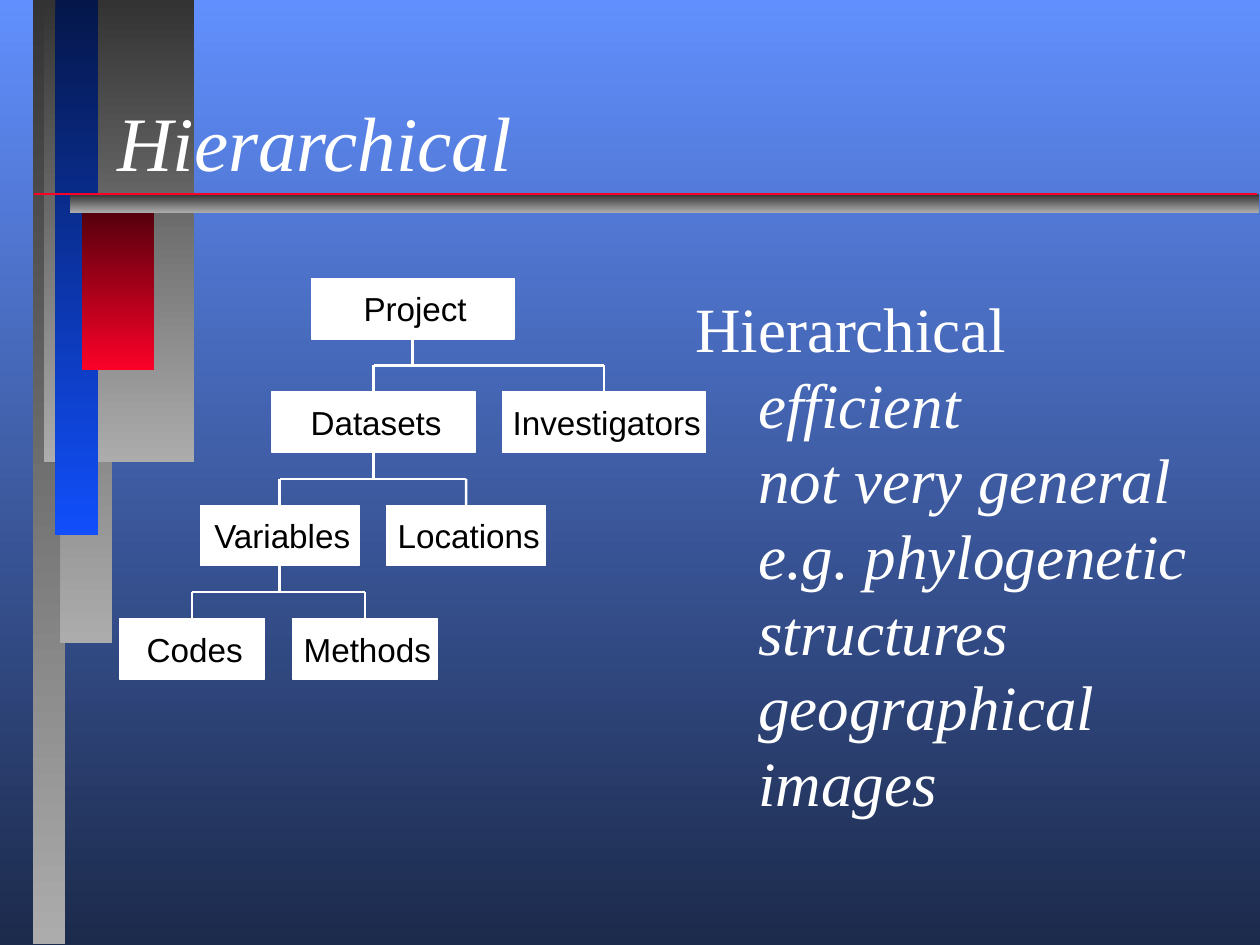
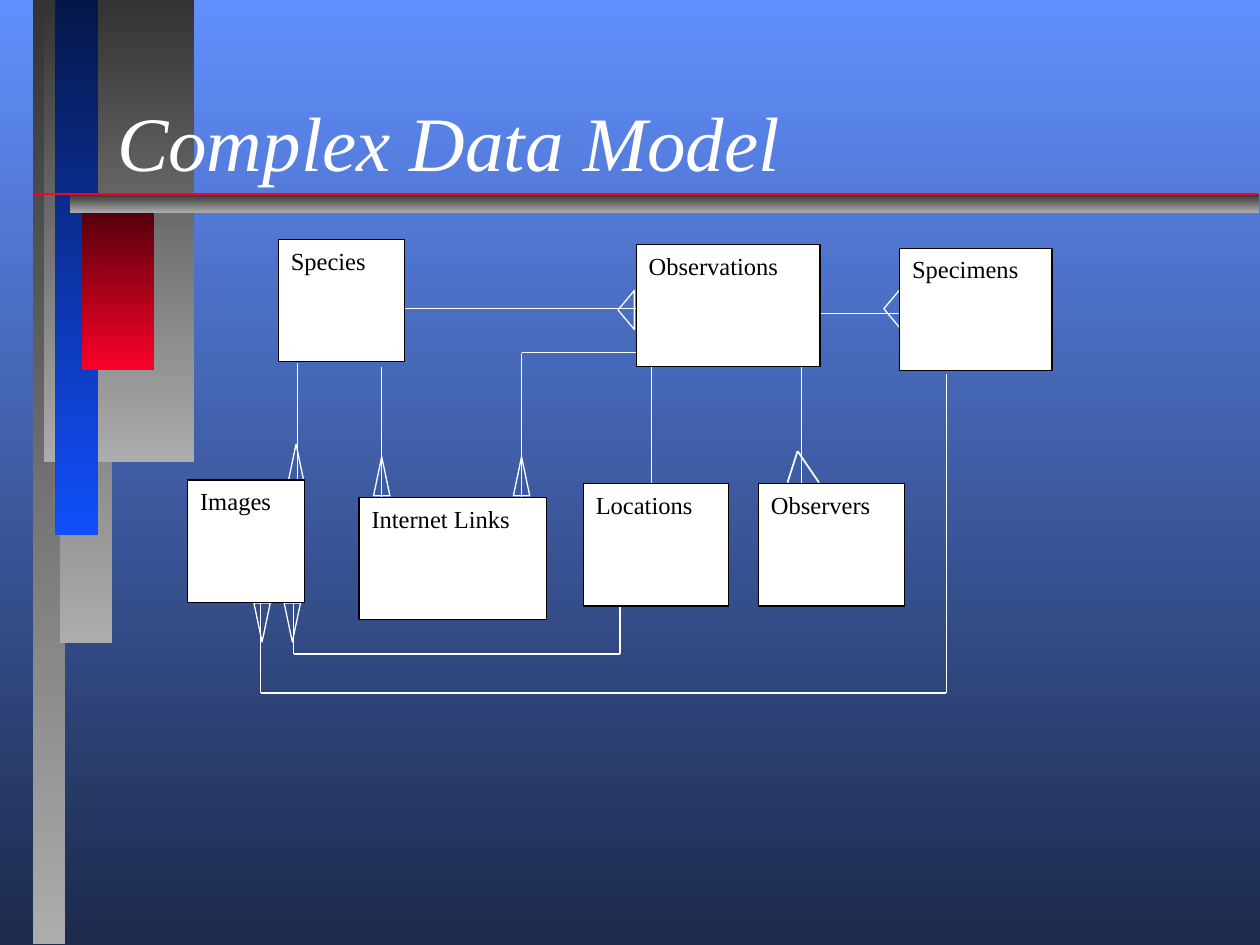
"""Build two slides on data models: a hierarchy tree and an entity diagram."""
from itertools import pairwise

from lxml.etree import SubElement
from pptx import Presentation
from pptx.dml.color import RGBColor
from pptx.enum.shapes import MSO_CONNECTOR, MSO_SHAPE
from pptx.enum.text import MSO_ANCHOR, MSO_AUTO_SIZE, PP_ALIGN
from pptx.oxml.ns import qn
from pptx.util import Inches, Pt

HEX = {
    "white": "FFFFFF", "black": "000000", "red": "FC0128", "wine": "4A000B",
    "sky": "618FFD", "night": "1C2A4B", "coal": "333333", "ash": "ACACAC",
    "navy": "05174A", "blue": "114FFB",
}
SERIF, SANS = "Times New Roman", "Arial"

BACK = ("sky", "night")
GREY = ("coal", "ash")
BANDS = [
    ((0.26, 0, 0.26, 7.49), GREY),
    ((0.48, 0, 0.41, 5.1), GREY),
    ((0.35, 0, 1.19, 3.67), GREY),
    ((0.44, 0, 0.34, 4.25), ("navy", "blue")),
    ((0.65, 1.6, 0.57, 1.34), ("wine", "red")),
    ((0.56, 1.54, 9.43, 0.15), GREY),
]
RULE = [(0.27, 1.54), (9.98, 1.54)]

# name: (left, row, width, parent)
NODES = {
    "Project": (2.47, 0, 1.61, None),
    "Datasets": (2.16, 1, 1.61, "Project"),
    "Investigators": (3.99, 1, 1.61, "Project"),
    "Variables": (1.59, 2, 1.26, "Datasets"),
    "Locations": (3.07, 2, 1.26, "Datasets"),
    "Codes": (0.95, 3, 1.15, "Variables"),
    "Methods": (2.32, 3, 1.15, "Variables"),
}
TREE_TOP, ROW, NODE_H = 2.21, 0.9, 0.48
NOTES = ["Hierarchical", "efficient", "not very general",
         "e.g. phylogenetic structures", "geographical images"]

# name: (left, top, width)
TABLES = {
    "Species": (2.21, 1.9, 1),
    "Observations": (5.05, 1.94, 1.46),
    "Specimens": (7.14, 1.97, 1.21),
    "Images": (1.49, 3.81, 0.93),
    "Internet Links": (2.85, 3.95, 1.49),
    "Locations": (4.63, 3.84, 1.15),
    "Observers": (6.02, 3.84, 1.16),
}
TABLE_H = 0.97
LINKS = [
    [(3.21, 2.45), (5.05, 2.45)],
    [(6.51, 2.49), (7.14, 2.49)],
    [(2.36, 2.88), (2.36, 3.81)],
    [(3.03, 2.91), (3.03, 3.95)],
    [(5.05, 2.8), (4.14, 2.8), (4.14, 3.95)],
    [(5.17, 2.91), (5.17, 3.84)],
    [(6.36, 2.91), (6.36, 3.84)],
    [(4.92, 4.81), (4.92, 5.19), (2.33, 5.19), (2.33, 4.78)],
    [(7.51, 2.97), (7.51, 5.5), (2.07, 5.5), (2.07, 4.78)],
]
FORK = [(6.25, 3.83), (6.33, 3.58), (6.5, 3.83)]
UP, DOWN, LEFT = 0, 180, 270
# centre x, centre y, turn
FEET = [(2.35, 3.68, UP), (3.03, 3.78, UP), (4.14, 3.78, UP),
        (2.08, 4.94, DOWN), (2.32, 4.94, DOWN),
        (4.97, 2.46, LEFT), (7.08, 2.45, LEFT)]
FOOT = (0.13, 0.31)


def tint(name):
    return RGBColor.from_string(HEX[name])


def blend(fill, ends):
    fill.gradient()
    fill.gradient_angle = 270
    for stop, name in zip(fill.gradient_stops, ends):
        stop.color.rgb = tint(name)


def box(slide, at, fill=None, edge=None, width=0.75, kind=MSO_SHAPE.RECTANGLE):
    shape = slide.shapes.add_shape(kind, *map(Inches, at))
    shape.shadow.inherit = False
    if isinstance(fill, tuple):
        blend(shape.fill, fill)
    elif fill:
        shape.fill.solid()
        shape.fill.fore_color.rgb = tint(fill)
    else:
        shape.fill.background()
    if edge:
        shape.line.color.rgb = tint(edge)
        shape.line.width = Pt(width)
    else:
        shape.line.fill.background()
    return shape


def style(para, face, size, name, align=PP_ALIGN.LEFT, slant=False):
    para.alignment = align
    font = para.font
    font.name, font.size, font.italic = face, Pt(size), slant
    font.color.rgb = tint(name)


def trace(slide, points, name="white", width=0.75):
    lines = []
    for start, end in pairwise(points):
        line = slide.shapes.add_connector(
            MSO_CONNECTOR.STRAIGHT, *map(Inches, start + end))
        line.line.color.rgb = tint(name)
        line.line.width = Pt(width)
        SubElement(line.element.spPr, qn("a:effectLst"))
        lines.append(line)
    return lines


def start(deck, text):
    slide = deck.slides.add_slide(deck.slide_layouts[5])
    for at, ends in BANDS:
        box(slide, at, ends)
    trace(slide, RULE, "red", 1)
    title = slide.shapes.title
    title.element.getparent().append(title.element)
    title.left, title.top, title.width, title.height = map(
        Inches, (0.83, 0.26, 8.5, 1.27))
    frame = title.text_frame
    frame.text = text
    frame.auto_size = MSO_AUTO_SIZE.NONE
    frame.vertical_anchor = MSO_ANCHOR.BOTTOM
    style(frame.paragraphs[0], SERIF, 44, "white", slant=True)
    return slide


def tree(slide):
    made = {}
    for name, (left, row, width, _) in NODES.items():
        shape = box(slide, (left, TREE_TOP + row * ROW, width, NODE_H),
                    "white", "white")
        frame = shape.text_frame
        frame.word_wrap = False
        frame.margin_left = Inches(0.04)
        frame.margin_right = frame.margin_top = frame.margin_bottom = 0
        frame.text = name
        style(frame.paragraphs[0], SANS, 19, "black", PP_ALIGN.CENTER)
        made[name] = shape
    stems = set()
    for name, (left, row, width, head) in NODES.items():
        if not head:
            continue
        top = TREE_TOP + row * ROW
        mid = top - (ROW - NODE_H) / 2
        x = left + width / 2
        base = NODES[head][0] + NODES[head][2] / 2
        if head not in stems:
            stems.add(head)
            stem, = trace(slide, [(base, top - ROW + NODE_H), (base, mid)],
                          width=1.39)
            stem.begin_connect(made[head], 2)
        _, drop = trace(slide, [(base, mid), (x, mid), (x, top)], width=1.39)
        drop.end_connect(made[name], 0)


def notes(slide):
    frame = slide.shapes.add_textbox(
        *map(Inches, (5.42, 2.25, 4.17, 4.3))).text_frame
    frame.word_wrap = True
    frame.text = "\n".join(NOTES)
    for rank, para in enumerate(frame.paragraphs):
        style(para, SERIF, 36, "white", slant=rank > 0)
        para.line_spacing = Pt(43.2)
        if rank:
            para.level = 1
            para._p.get_or_add_pPr().set("marL", str(Inches(0.5)))


def model(slide):
    for points in LINKS:
        trace(slide, points)
    for x, y, turn in FEET:
        wide, high = FOOT[::-1] if turn == LEFT else FOOT
        foot = box(slide, (x - FOOT[0] / 2, y - FOOT[1] / 2, *FOOT),
                   edge="white", kind=MSO_SHAPE.ISOSCELES_TRIANGLE)
        foot.left, foot.top, foot.width, foot.height = map(
            Inches, (x - wide / 2, y - high / 2, wide, high))
        foot.rotation = turn
    for name, (left, top, width) in TABLES.items():
        frame = box(slide, (left, top, width, TABLE_H),
                    "white", "black").text_frame
        frame.text = name
        frame.vertical_anchor = MSO_ANCHOR.TOP
        style(frame.paragraphs[0], SERIF, 14, "black")
    trace(slide, FORK, width=1)


def main():
    deck = Presentation()
    deck.slide_width, deck.slide_height = Inches(10), Inches(7.5)
    blend(deck.slide_master.background.fill, BACK)
    first = start(deck, "Hierarchical")
    tree(first)
    notes(first)
    model(start(deck, "Complex Data Model"))
    deck.save("out.pptx")


if __name__ == "__main__":
    main()
